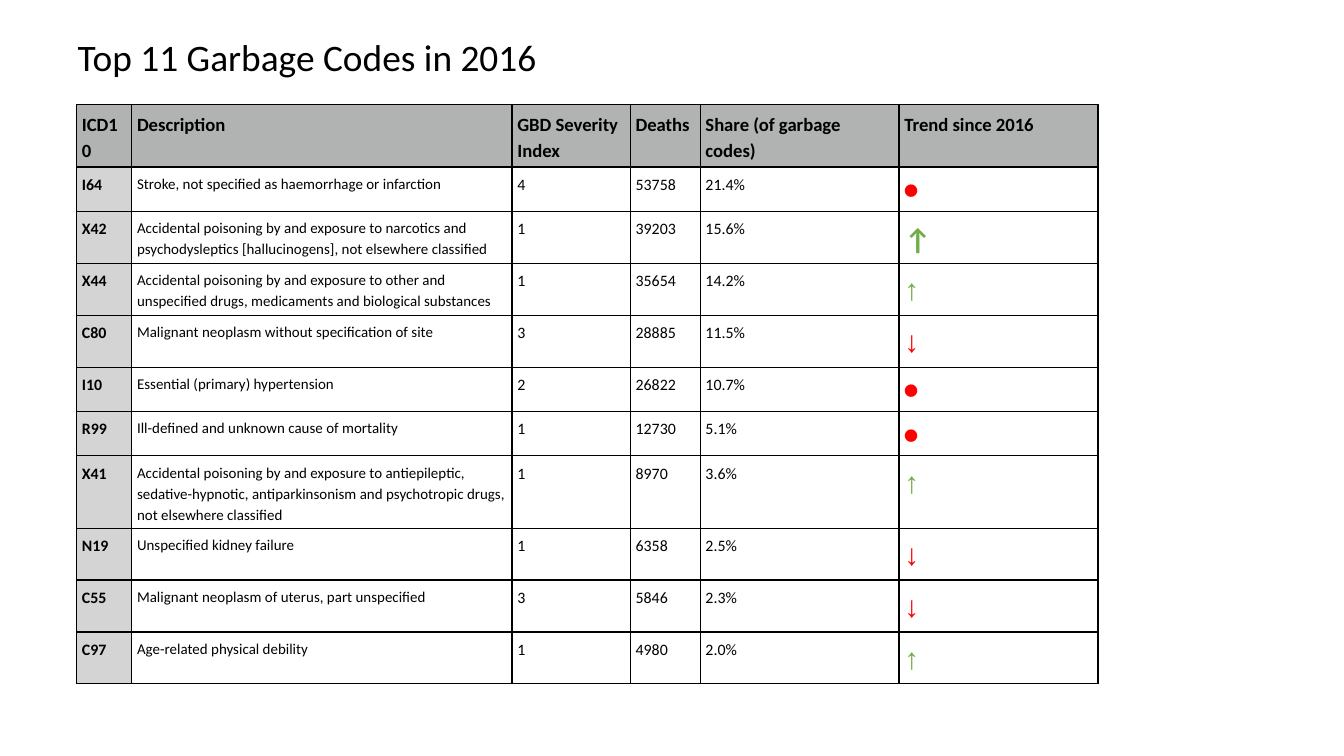
from lxml.etree import SubElement
from pptx import Presentation
from pptx.dml.color import RGBColor
from pptx.enum.text import MSO_ANCHOR as Anchor
from pptx.oxml.ns import qn
from pptx.util import Inches, Pt

BLACK = "000000"
RED = "FF0000"
GREEN = "70AD47"
HEADER_GRAY = "B0B3B2"
CODE_GRAY = "D4D4D4"

COLUMN_WIDTHS = [0.41, 2.83, 0.88, 0.52, 1.48, 1.48]
ROW_HEIGHTS = [0.42, 0.33, 0.35, 0.35, 0.35, 0.33, 0.33, 0.33, 0.33, 0.3, 0.33]
HEADERS = ["ICD10", "Description", "GBD Severity Index", "Deaths",
           "Share (of garbage codes)", "Trend since 2016"]

STEADY = ("⚫️", dict(size=12, color=RED))
SHARP_RISE = ("↑", dict(size=16, color=GREEN, bold=True))
RISE = ("↑", dict(size=16, color=GREEN, bold=True, font_name="Arial"))
FALL = ("↓", dict(size=16, color=RED, bold=True, font_name="Arial"))

CAUSES = [
    ("I64", "Stroke, not specified as haemorrhage or infarction",
     "4", "53758", "21.4%", STEADY),
    ("X42", "Accidental poisoning by and exposure to narcotics and "
     "psychodysleptics [hallucinogens], not elsewhere classified",
     "1", "39203", "15.6%", SHARP_RISE),
    ("X44", "Accidental poisoning by and exposure to other and "
     "unspecified drugs, medicaments and biological substances",
     "1", "35654", "14.2%", RISE),
    ("C80", "Malignant neoplasm without specification of site",
     "3", "28885", "11.5%", FALL),
    ("I10", "Essential (primary) hypertension", "2", "26822", "10.7%", STEADY),
    ("R99", "Ill-defined and unknown cause of mortality",
     "1", "12730", "5.1%", STEADY),
    ("X41", "Accidental poisoning by and exposure to antiepileptic, "
     "sedative-hypnotic, antiparkinsonism and psychotropic drugs, "
     "not elsewhere classified", "1", "8970", "3.6%", RISE),
    ("N19", "Unspecified kidney failure", "1", "6358", "2.5%", FALL),
    ("C55", "Malignant neoplasm of uterus, part unspecified",
     "3", "5846", "2.3%", FALL),
    ("C97", "Age-related physical debility", "1", "4980", "2.0%", RISE),
]


def rgb(color):
    return RGBColor.from_string(color)


def write_text(text_frame, text, size=8.5, color=BLACK, bold=False,
               font_name="Calibri", line_spacing=1.15):
    text_frame.word_wrap = True
    paragraph = text_frame.paragraphs[0]
    paragraph.line_spacing = line_spacing
    run = paragraph.add_run()
    run.text = text
    font = run.font
    font.size = Pt(size)
    font.bold = bold
    font.color.rgb = rgb(color)
    font.name = font_name
    for script in ("a:ea", "a:cs"):
        SubElement(run._r.get_or_add_rPr(), qn(script), typeface=font_name)


def add_title(slide, text):
    shape = slide.shapes.add_textbox(Inches(0.48), Inches(0.19),
                                     Inches(9.32), Inches(0.63))
    text_frame = shape.text_frame
    text_frame.margin_left = text_frame.margin_right = Inches(0.1)
    text_frame.margin_top = text_frame.margin_bottom = Inches(0.1)
    text_frame.vertical_anchor = Anchor.TOP
    write_text(text_frame, text, size=20, line_spacing=0.9)


def add_borders(cell):
    properties = cell._tc.get_or_add_tcPr()
    for index, side in enumerate(("a:lnL", "a:lnR", "a:lnT", "a:lnB")):
        line = SubElement(properties, qn(side), w=str(Pt(0.75)))
        fill = SubElement(line, qn("a:solidFill"))
        SubElement(fill, qn("a:srgbClr"), val=BLACK)
        properties.insert(index, line)


def fill_cell(cell, text, fill=None, **text_format):
    cell.margin_left = cell.margin_right = Inches(0.04)
    cell.margin_top = cell.margin_bottom = Inches(0.04)
    if fill:
        cell.fill.solid()
        cell.fill.fore_color.rgb = rgb(fill)
    else:
        cell.fill.background()
    add_borders(cell)
    write_text(cell.text_frame, text, **text_format)


def add_code_table(slide):
    frame = slide.shapes.add_table(
        len(ROW_HEIGHTS), len(COLUMN_WIDTHS), Inches(0.57), Inches(0.78),
        Inches(sum(COLUMN_WIDTHS)), Inches(sum(ROW_HEIGHTS)))
    table = frame.table
    table.first_row = table.horz_banding = False
    for column, width in zip(table.columns, COLUMN_WIDTHS):
        column.width = Inches(width)
    for row, height in zip(table.rows, ROW_HEIGHTS):
        row.height = Inches(height)
    for index, header in enumerate(HEADERS):
        fill_cell(table.cell(0, index), header, HEADER_GRAY, size=10, bold=True)
    for index, cause in enumerate(CAUSES, start=1):
        code, description, *figures, (symbol, symbol_format) = cause
        fill_cell(table.cell(index, 0), code, CODE_GRAY, bold=True)
        fill_cell(table.cell(index, 1), description, size=8)
        for column, figure in enumerate(figures, start=2):
            fill_cell(table.cell(index, column), figure)
        fill_cell(table.cell(index, 5), symbol, **symbol_format)


def main():
    presentation = Presentation()
    presentation.slide_width = Inches(10)
    presentation.slide_height = Inches(10) * 9 // 16
    slide = presentation.slides.add_slide(presentation.slide_layouts[6])
    add_title(slide, "Top 11 Garbage Codes in 2016")
    add_code_table(slide)
    presentation.save("out.pptx")


if __name__ == "__main__":
    main()
